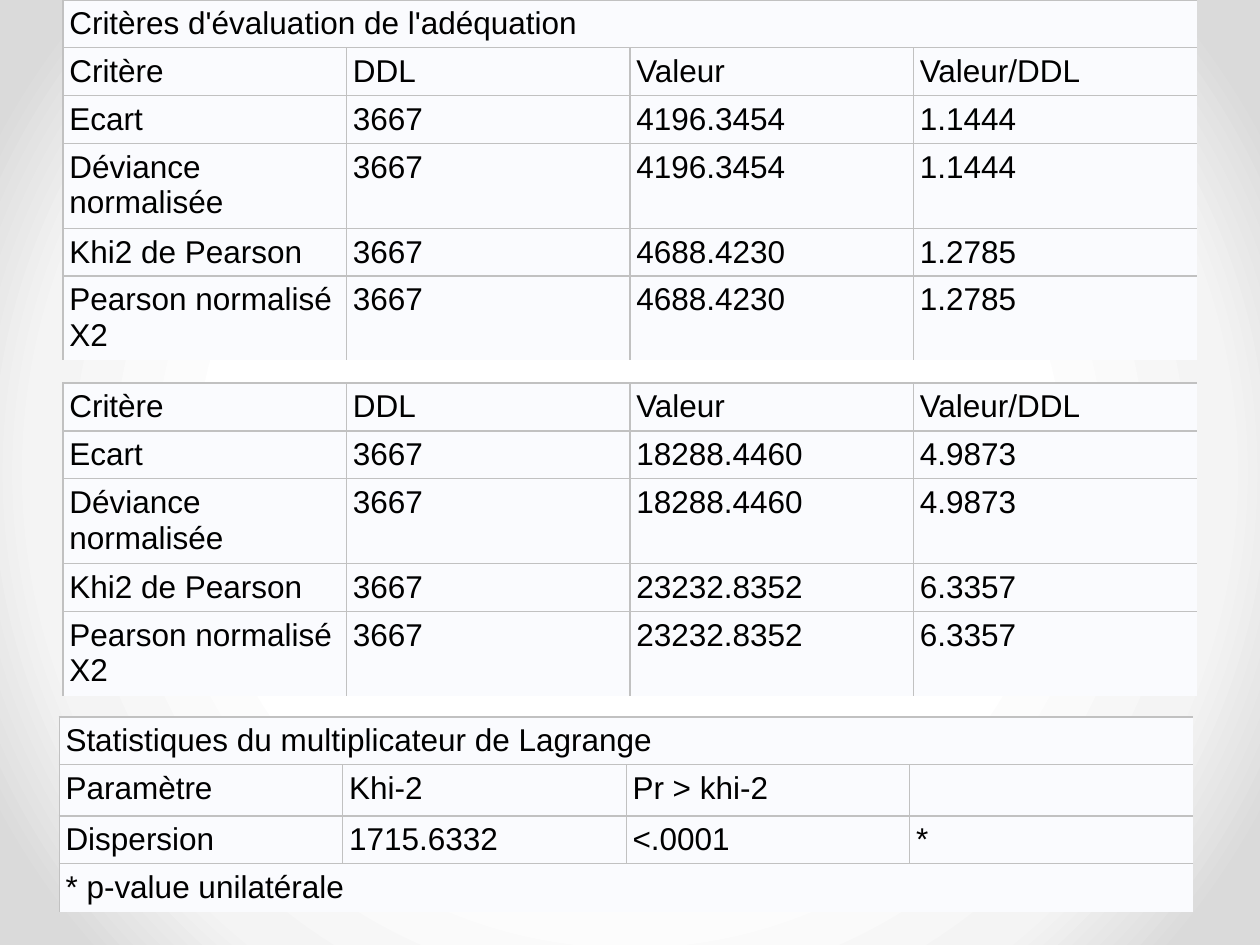
from pptx import Presentation
from pptx.dml.color import RGBColor
from pptx.oxml import parse_xml
from pptx.oxml.ns import nsdecls, qn
from pptx.util import Inches, Pt

HEAD = ("Critère", "DDL", "Valeur", "Valeur/DDL")
# Each table: left, top, rows; a row with one entry spans the full width.
TABLES = [
    (0.5, 0, [
        ("Critères d'évaluation de l'adéquation",),
        HEAD,
        ("Ecart", "3667", "4196.3454", "1.1444"),
        ("Déviance normalisée", "3667", "4196.3454", "1.1444"),
        ("Khi2 de Pearson", "3667", "4688.4230", "1.2785"),
        ("Pearson normalisé X2", "3667", "4688.4230", "1.2785"),
    ]),
    (0.5, 3.04, [
        HEAD,
        ("Ecart", "3667", "18288.4460", "4.9873"),
        ("Déviance normalisée", "3667", "18288.4460", "4.9873"),
        ("Khi2 de Pearson", "3667", "23232.8352", "6.3357"),
        ("Pearson normalisé X2", "3667", "23232.8352", "6.3357"),
    ]),
    (0.47, 5.69, [
        ("Statistiques du multiplicateur de Lagrange",),
        ("Paramètre", "Khi-2", "Pr > khi-2", ""),
        ("Dispersion", "1715.6332", "<.0001", "*"),
        ("* p-value unilatérale",),
    ]),
]
WRAPPED = ("Déviance normalisée", "Pearson normalisé X2")
STOPS = [(50, "FFFFFF"), (76, "F4F4F4"), (92, "DADADA")]
COLS, COL_W = 4, 2.25
ROW_H, TALL_H = 0.38, 0.67
PAD = Inches(0.05)
FILL, LINE, INK = "FAFBFE", "C1C1C1", "000000"


def rgb(code):
    return RGBColor.from_string(code)


def paint_back(slide):
    """Give the slide a gradient that darkens from its centre."""
    slide.background.fill.solid()
    props = slide.element.find(".//" + qn("p:bgPr"))
    stops = "".join(
        f'<a:gs pos="{pos * 1000}"><a:srgbClr val="{code}"/></a:gs>'
        for pos, code in STOPS)
    grad = parse_xml(
        f'<a:gradFill {nsdecls("a")} rotWithShape="1"><a:gsLst>{stops}</a:gsLst>'
        '<a:path path="circle"><a:fillToRect l="50000" t="50000" r="50000" b="50000"/>'
        '</a:path></a:gradFill>')
    props.replace(props[0], grad)


def add_edges(cell, right, bottom):
    """Draw the left and top edges, and the other two where asked."""
    props = cell._tc.get_or_add_tcPr()
    for side, drawn in (("L", True), ("R", right), ("T", True), ("B", bottom)):
        paint = (f'<a:solidFill><a:srgbClr val="{LINE}"/></a:solidFill>'
                 if drawn else "<a:noFill/>")
        props.append(parse_xml(
            f'<a:ln{side} {nsdecls("a")} w="{Pt(0.75)}">{paint}</a:ln{side}>'))


def fill_cell(cell, text):
    cell.margin_left = cell.margin_right = PAD
    cell.margin_top = cell.margin_bottom = PAD
    cell.fill.solid()
    cell.fill.fore_color.rgb = rgb(FILL)
    if text:
        run = cell.text_frame.paragraphs[0].add_run()
        run.text = text
        run.font.size = Pt(18)
        run.font.name = "Arial"
        run.font.color.rgb = rgb(INK)


def add_grid(slide, left, top, rows):
    heights = [TALL_H if row[0] in WRAPPED else ROW_H for row in rows]
    table = slide.shapes.add_table(
        len(rows), COLS, Inches(left), Inches(top),
        Inches(COLS * COL_W), Inches(sum(heights))).table
    table.first_row = table.horz_banding = False
    for col in table.columns:
        col.width = Inches(COL_W)
    for r, row in enumerate(rows):
        table.rows[r].height = Inches(heights[r])
        if len(row) == 1:
            table.cell(r, 0).merge(table.cell(r, COLS - 1))
        for c, text in enumerate(row):
            cell = table.cell(r, c)
            add_edges(cell, c < len(row) - 1, r < len(rows) - 1)
            fill_cell(cell, text)


def main():
    deck = Presentation()
    deck.slide_width, deck.slide_height = Inches(10), Inches(7.5)
    slide = deck.slides.add_slide(deck.slide_layouts[6])
    paint_back(slide)
    for left, top, rows in TABLES:
        add_grid(slide, left, top, rows)
    deck.save("out.pptx")


if __name__ == "__main__":
    main()
